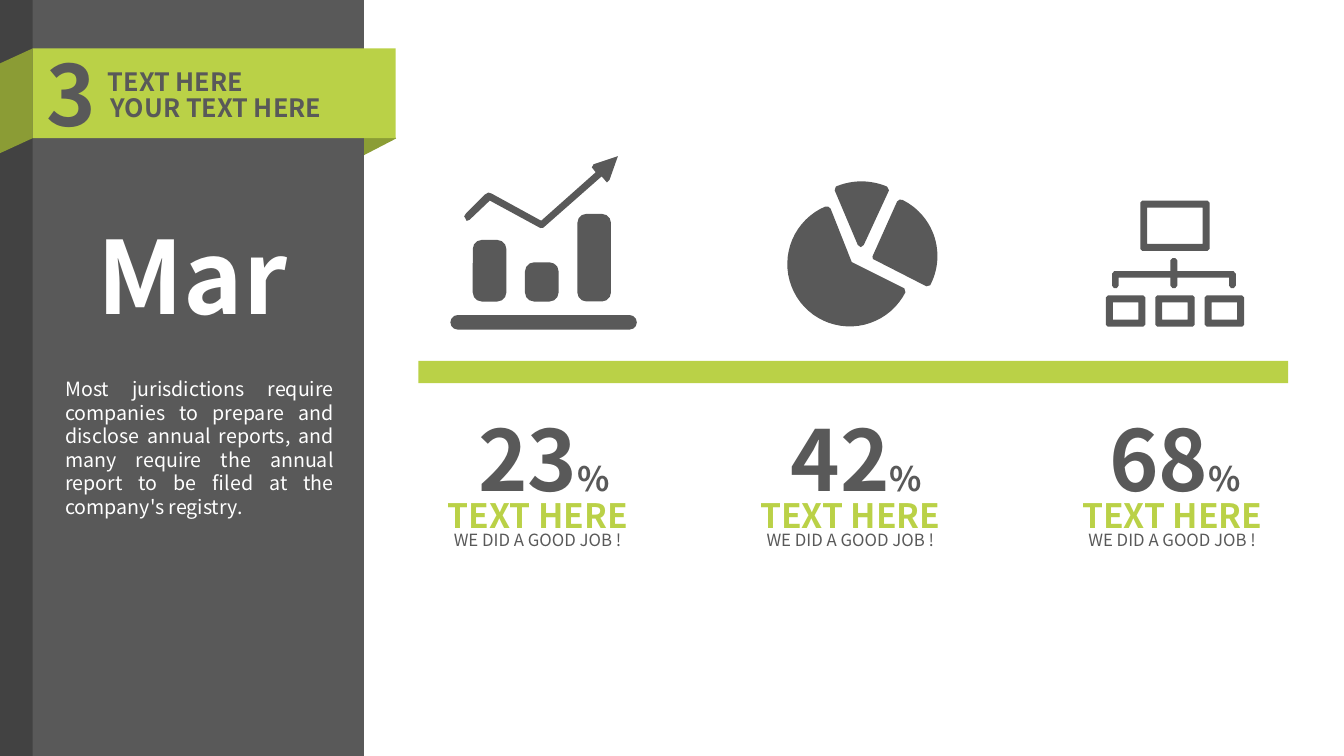
import math
import pptx
import pptx.util
import pptx.dml.color
import pptx.enum.shapes
import pptx.enum.text
import pptx.oxml.ns
from lxml import etree

Pt = pptx.util.Pt
RGBColor = pptx.dml.color.RGBColor
MSO = pptx.enum.shapes.MSO_SHAPE
ALIGN = pptx.enum.text.PP_ALIGN

GRAY = RGBColor(0x59, 0x59, 0x59)
GREEN = RGBColor(0xBA, 0xD1, 0x47)
OLIVE = RGBColor(0x8B, 0x9D, 0x35)
BLACK = RGBColor(0, 0, 0)
WHITE = RGBColor(0xFF, 0xFF, 0xFF)
FONT = "Noto Sans CJK SC"

prs = pptx.Presentation()
prs.slide_width, prs.slide_height = Pt(960), Pt(540)
slide = prs.slides.add_slide(prs.slide_layouts[6])


def add_filled(color, kind=None, box=None, contours=()):
    """Add a preset shape in a box, or a freeform made of closed contours."""
    if kind is not None:
        s = slide.shapes.add_shape(kind, *[Pt(v) for v in box])
    else:
        fb = None
        for contour in contours:
            points = [(Pt(x), Pt(y)) for x, y in contour]
            if fb is None:
                fb = slide.shapes.build_freeform(*points[0], scale=1.0)
            else:
                fb.move_to(*points[0])
            fb.add_line_segments(points[1:], close=True)
        s = fb.convert_to_shape()
    s.shadow.inherit = False
    s.fill.solid()
    s.fill.fore_color.rgb = color
    s.line.fill.background()
    return s


def add_text(box, runs, color, bold=True, align=ALIGN.LEFT, wrap=False):
    """Add one paragraph; runs are (text, size) pairs."""
    tf = slide.shapes.add_textbox(*[Pt(v) for v in box]).text_frame
    tf.word_wrap = wrap
    tf.auto_size = pptx.enum.text.MSO_AUTO_SIZE.SHAPE_TO_FIT_TEXT
    p = tf.paragraphs[0]
    p.alignment = align
    for text, size in runs:
        r = p.add_run()
        r.text = text
        r.font.name, r.font.size, r.font.bold = FONT, Pt(size), bold
        r.font.color.rgb = color
        ea = etree.SubElement(r.font._element, pptx.oxml.ns.qn("a:ea"))
        ea.set("typeface", FONT)


# Side panel with the folded ribbon
s = add_filled(OLIVE, MSO.ISOSCELES_TRIANGLE, (249.8, 77.8, 43.2, 23))
s.rotation = 90
s.adjustments[0] = 0.725
add_filled(GRAY, MSO.RECTANGLE, (0, 0, 260, 540))
add_filled(GREEN, contours=[[(0, 45.3), (23.3, 34.6), (23.3, 98.7), (0, 109.4)]])
add_filled(GREEN, MSO.RECTANGLE, (23.3, 34.6, 259.3, 64.1))
s = add_filled(BLACK, MSO.RECTANGLE, (0, 0, 23.3, 540))
fill_color = s.fill._xPr.find(".//" + pptx.oxml.ns.qn("a:srgbClr"))
etree.SubElement(fill_color, pptx.oxml.ns.qn("a:alpha")).set("val", "25000")

# Panel text
add_text((26, 26.6, 52, 80), [("3", 60)], GRAY, wrap=True)
add_text((70, 44, 115, 29), [("TEXT HERE", 18)], GRAY)
add_text((72, 62.6, 173.5, 29), [("YOUR TEXT HERE", 18)], GRAY)
add_text((62.6, 149, 162, 94.3), [("Mar", 72)], WHITE)
add_text((39.6, 265.7, 206, 108.7),
         [("Most jurisdictions require companies to prepare and disclose annual "
           "reports, and many require the annual report to be filed at the "
           "company's registry.", 14)],
         WHITE, bold=False, align=ALIGN.JUSTIFY, wrap=True)

# Divider and the three figures: caption centre, number centre, number
add_filled(GREEN, MSO.RECTANGLE, (298.8, 257.8, 621.4, 15.8))
for cx, number_cx, number in ((384, 388.4, "23"), (607.4, 611.6, "42"),
                              (837.3, 839.2, "68")):
    add_text((number_cx - 56, 287.3, 112, 80), [(number, 60), ("%", 24)],
             GRAY, align=ALIGN.CENTER)
    add_text((cx - 74, 350, 148, 36), [("TEXT HERE", 24)], GREEN, align=ALIGN.CENTER)
    add_text((cx - 74, 375, 148, 21.6), [("WE DID A GOOD JOB !", 12)], GRAY,
             bold=False, align=ALIGN.CENTER)

# Bar chart icon: left, top, width, height, corner radius ratio
for *box, radius in ((337.7, 171.4, 24, 44, 0.27), (375, 187.4, 24, 28, 0.27),
                     (412.4, 152.8, 24, 62.6, 0.27), (321.7, 225, 133.2, 10.4, 0.5)):
    s = add_filled(GRAY, MSO.ROUNDED_RECTANGLE, box)
    s.adjustments[0] = radius
add_filled(GRAY, contours=[[
    (331.6, 154.5), (332.8, 152.6), (346.4, 139), (348.8, 137.6), (351, 138.2),
    (386.6, 157.7), (425.5, 123.1), (422.8, 119.6), (424, 117.4), (441.4, 111.6),
    (435.4, 128.5), (433.6, 130.4), (429.8, 126), (388.1, 162.7), (386, 162.9),
    (349.9, 143.3), (335.5, 157), (333.4, 157.8)]])

# Pie icon: centre, radius, start and end angle, then the inner corners
pie_slices = (
    (607, 188.6, 44.6, 247, 27,
     [(646, 206), (608.4, 187.2), (593.3, 149), (591.5, 147.6)]),
    (615.3, 176.4, 46.8, 247, 293,
     [(635, 136), (617, 175), (614.9, 176.6), (612.7, 175), (596.2, 136)]),
    (625, 182.9, 44.6, -64, 28,
     [(661.7, 204.5), (623.5, 185), (623.2, 183.2), (640.8, 144), (642.6, 142.6)]),
)
for cx, cy, radius, start, end, corners in pie_slices:
    angles = [math.radians(start + (end - start) * i / 40) for i in range(41)]
    arc = [(cx + radius * math.cos(a), cy + radius * math.sin(a)) for a in angles]
    add_filled(GRAY, contours=[arc + corners])

# Organisation chart icon: one large frame above three small ones
frames = [(814.5, 143.3, 49.5, 36)]
frames += [(789.9 + 35.3 * i, 211, 28.2, 22.4) for i in range(3)]
for x, y, w, h in frames:
    r, b, cut, edge = x + w, y + h, 1.5, 5
    outer = [(x + cut, y), (r - cut, y), (r, y + cut), (r, b - cut),
             (r - cut, b), (x + cut, b), (x, b - cut), (x, y + cut)]
    inner = [(x + edge, y + edge), (x + edge, b - edge),
             (r - edge, b - edge), (r - edge, y + edge)]
    add_filled(GRAY, contours=[outer, inner])

# Bracket joining the frames, mirrored about its stem
half = [(2.5, 186), (2.5, 193.7), (42.6, 193.7), (44.2, 195.5), (44.2, 204),
        (42.8, 205.8), (40.8, 205.8), (39.4, 204), (39.4, 198.4), (2.5, 198.4),
        (2.5, 204), (1, 205.8)]
stem = 838.5
right = [(stem + 1, 184.4)] + [(stem + dx, y) for dx, y in half]
left = [(2 * stem - x, y) for x, y in reversed(right)]
add_filled(GRAY, contours=[right + left])

prs.save("out.pptx")
